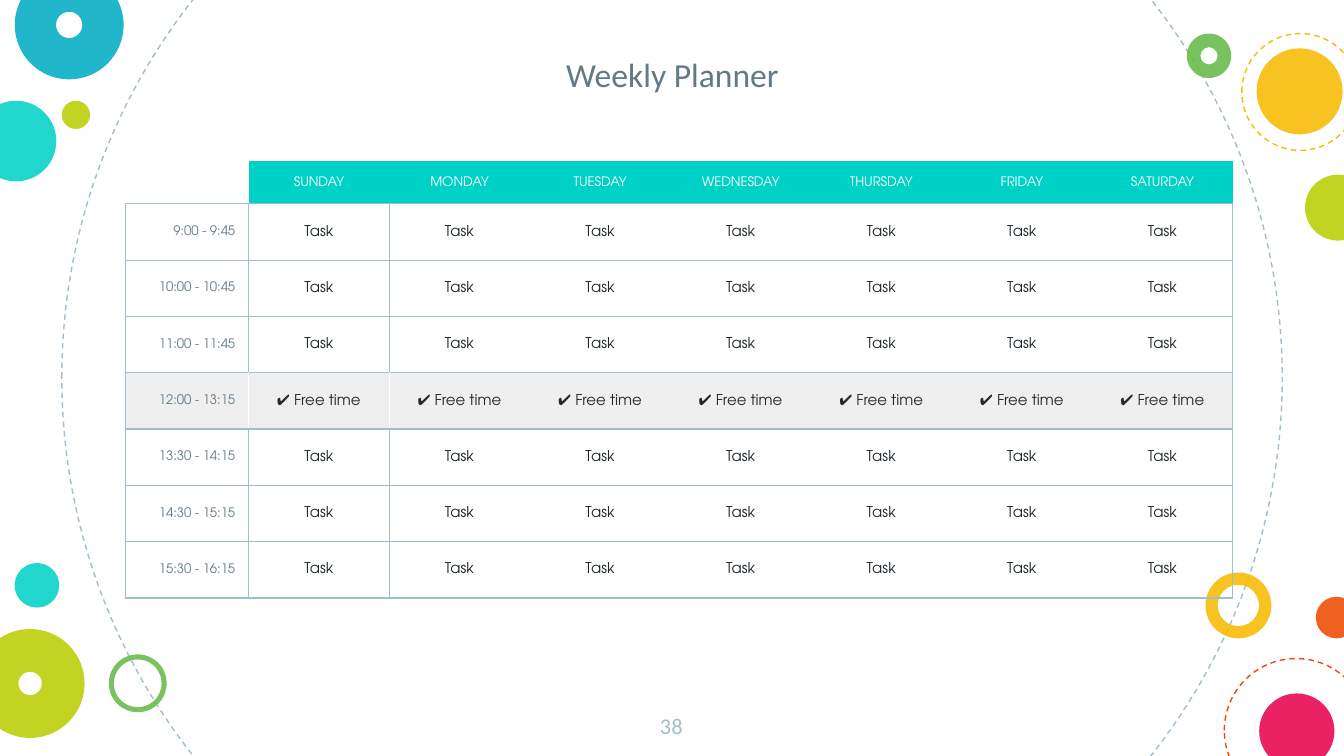
from lxml import etree
from pptx import Presentation
from pptx.dml.color import RGBColor
from pptx.enum.dml import MSO_LINE
from pptx.enum.shapes import MSO_SHAPE
from pptx.enum.text import MSO_ANCHOR, PP_ALIGN
from pptx.oxml.ns import qn
from pptx.util import Pt

OVAL, DONUT = MSO_SHAPE.OVAL, MSO_SHAPE.DONUT
DASH = MSO_LINE.DASH
CENTER, RIGHT = PP_ALIGN.CENTER, PP_ALIGN.RIGHT
TOP, MIDDLE, BOTTOM = MSO_ANCHOR.TOP, MSO_ANCHOR.MIDDLE, MSO_ANCHOR.BOTTOM

HEAD_FONT, BODY_FONT = "Calibri", "TeX Gyre Adventor"
TEAL, AMBER, BLUE, LIME = "00D1C6", "F8BB00", "00ACC3", "BBCD00"
ORANGE, GREEN, PINK = "ED4A00", "65BB48", "E8004C"
SLATE, MIST, INK, GRAY, WHITE = "617A86", "A1BECC", "212A2E", "EFEFEF", "FFFFFF"
NO_GRID_STYLE = "{2D5ABB26-0587-4C30-8999-92F81FD0307C}"
INSET = 7.2

# Left, top, diameter, colour, and the hole ratio for donuts
DISCS = [
    (-13, 54, 43.2, TEAL, None),
    (645.8, 306.7, 35.3, AMBER, 0.186),
    (7.9, -15.8, 58.3, BLUE, 0.379),
    (33.1, 54, 15.1, LIME, None),
    (58.3, 350.6, 31, GREEN, 0.088),
    (704.9, 319.7, 22.3, ORANGE, None),
    (-13, 337, 58.3, LIME, 0.392),
    (674.6, 371.5, 40.3, PINK, None),
    (635.8, 18, 23.8, GREEN, 0.306),
    (673.2, 25.9, 46.1, AMBER, None),
    (699.1, 93.6, 35.3, LIME, None),
    (7.9, 301.7, 23.8, TEAL, None),
]
# Left, top, diameter, line colour
RINGS = [
    (33.1, -124.6, 653.8, MIST),
    (655.9, 352.8, 77, ORANGE),
    (665.3, 18, 62.6, AMBER),
]

DAYS = ["SUNDAY", "MONDAY", "TUESDAY", "WEDNESDAY", "THURSDAY", "FRIDAY", "SATURDAY"]
BREAK = "12:00 - 13:15"
TIMES = ["9:00 - 9:45", "10:00 - 10:45", "11:00 - 11:45", BREAK,
         "13:30 - 14:15", "14:30 - 15:15", "15:30 - 16:15"]


def rgb(color):
    return RGBColor.from_string(color)


def add_text(tf, text, size=8, font=BODY_FONT, color=INK, align=CENTER):
    p = tf.paragraphs[0]
    p.alignment = align
    r = p.add_run()
    r.text = text
    r.font.size = Pt(size)
    r.font.name = font
    r.font.color.rgb = rgb(color)


def set_frame(tf, anchor):
    tf.word_wrap = True
    tf.vertical_anchor = anchor
    tf.margin_left = tf.margin_right = tf.margin_top = tf.margin_bottom = Pt(INSET)


def add_circle(s, kind, x, y, d):
    sp = s.shapes.add_shape(kind, Pt(x), Pt(y), Pt(d), Pt(d))
    sp.shadow.inherit = False
    return sp


def add_disc(s, x, y, d, color, hole):
    sp = add_circle(s, DONUT if hole else OVAL, x, y, d)
    if hole:
        sp.adjustments[0] = hole
    sp.fill.solid()
    sp.fill.fore_color.rgb = rgb(color)
    sp.line.fill.background()
    clr = sp.fill._xPr.find(".//" + qn("a:srgbClr"))
    etree.SubElement(clr, qn("a:alpha"), val="87000")


def add_ring(s, x, y, d, color):
    sp = add_circle(s, OVAL, x, y, d)
    sp.fill.background()
    sp.line.color.rgb = rgb(color)
    sp.line.width = Pt(0.75)
    sp.line.dash_style = DASH


def set_borders(cell, **sides):
    tc_pr = cell._tc.get_or_add_tcPr()
    for side in "LRTB":  # order required by the schema
        if side in sides:
            ln = etree.SubElement(tc_pr, qn("a:ln" + side), w=str(Pt(0.75)))
            fill = etree.SubElement(ln, qn("a:solidFill"))
            etree.SubElement(fill, qn("a:srgbClr"), val=sides[side])


def format_cell(cell, text, fill=None, borders=None, **fmt):
    cell.vertical_anchor = MIDDLE
    cell.margin_left = cell.margin_right = Pt(INSET)
    cell.margin_top = cell.margin_bottom = Pt(INSET)
    set_borders(cell, **(borders or {}))
    if fill:
        cell.fill.solid()
        cell.fill.fore_color.rgb = rgb(fill)
    else:
        cell.fill.background()
    if text:
        add_text(cell.text_frame, text, **fmt)
    else:  # keeps the empty corner from stretching the header row
        p = cell.text_frame.paragraphs[0]._p
        etree.SubElement(p, qn("a:endParaRPr"), sz="700")


def add_planner(s):
    label_w, day_w, head_h, row_h = 65.9, 75.33, 18.8, 30.17
    n_rows, n_cols = len(TIMES) + 1, len(DAYS) + 1
    frame = s.shapes.add_table(n_rows, n_cols, Pt(67.3), Pt(86.4),
                               Pt(label_w + day_w * len(DAYS)),
                               Pt(head_h + row_h * len(TIMES)))
    table = frame.table
    table.first_row = table.horz_banding = False
    table._tbl.tblPr.find(qn("a:tableStyleId")).text = NO_GRID_STYLE
    for i, col in enumerate(table.columns):
        col.width = Pt(day_w if i else label_w)
    for i, row in enumerate(table.rows):
        row.height = Pt(row_h if i else head_h)

    # Header row
    for c, day in enumerate([""] + DAYS):
        format_cell(table.cell(0, c), day, fill=TEAL if day else None,
                    borders={"B": MIST}, size=7, color=WHITE)

    # Time slots
    for r, time in enumerate(TIMES, 1):
        is_break = time == BREAK
        fill = GRAY if is_break else None
        divider = WHITE if is_break else MIST
        format_cell(table.cell(r, 0), time, fill=fill,
                    borders={"L": MIST, "R": divider, "T": MIST, "B": MIST},
                    size=7, color=SLATE, align=RIGHT)
        for c in range(1, n_cols):
            borders = {"T": MIST, "B": MIST}
            if c == 1:
                borders["L"] = divider
            if c == n_cols - 1:
                borders["R"] = MIST
            format_cell(table.cell(r, c), "✔ Free time" if is_break else "Task",
                        fill=fill, borders=borders)


def add_title(s, text):
    sp = s.shapes.title
    sp.left, sp.top, sp.width, sp.height = Pt(152.6), Pt(7.2), Pt(415.4), Pt(50.4)
    set_frame(sp.text_frame, BOTTOM)
    add_text(sp.text_frame, text, size=18, font=HEAD_FONT, color=SLATE)


def add_page_number(s, text):
    sp = s.shapes.add_textbox(Pt(341.3), Pt(374.4), Pt(36.7), Pt(31))
    set_frame(sp.text_frame, TOP)
    add_text(sp.text_frame, text, size=12, font=HEAD_FONT, color=MIST)


def main():
    prs = Presentation()
    prs.slide_width, prs.slide_height = Pt(720), Pt(405)
    s = prs.slides.add_slide(prs.slide_layouts[5])

    # Decorative circles
    for ring in RINGS:
        add_ring(s, *ring)
    for disc in DISCS:
        add_disc(s, *disc)

    # Content
    add_title(s, "Weekly Planner")
    add_page_number(s, "38")
    add_planner(s)
    prs.save("out.pptx")


if __name__ == "__main__":
    main()
